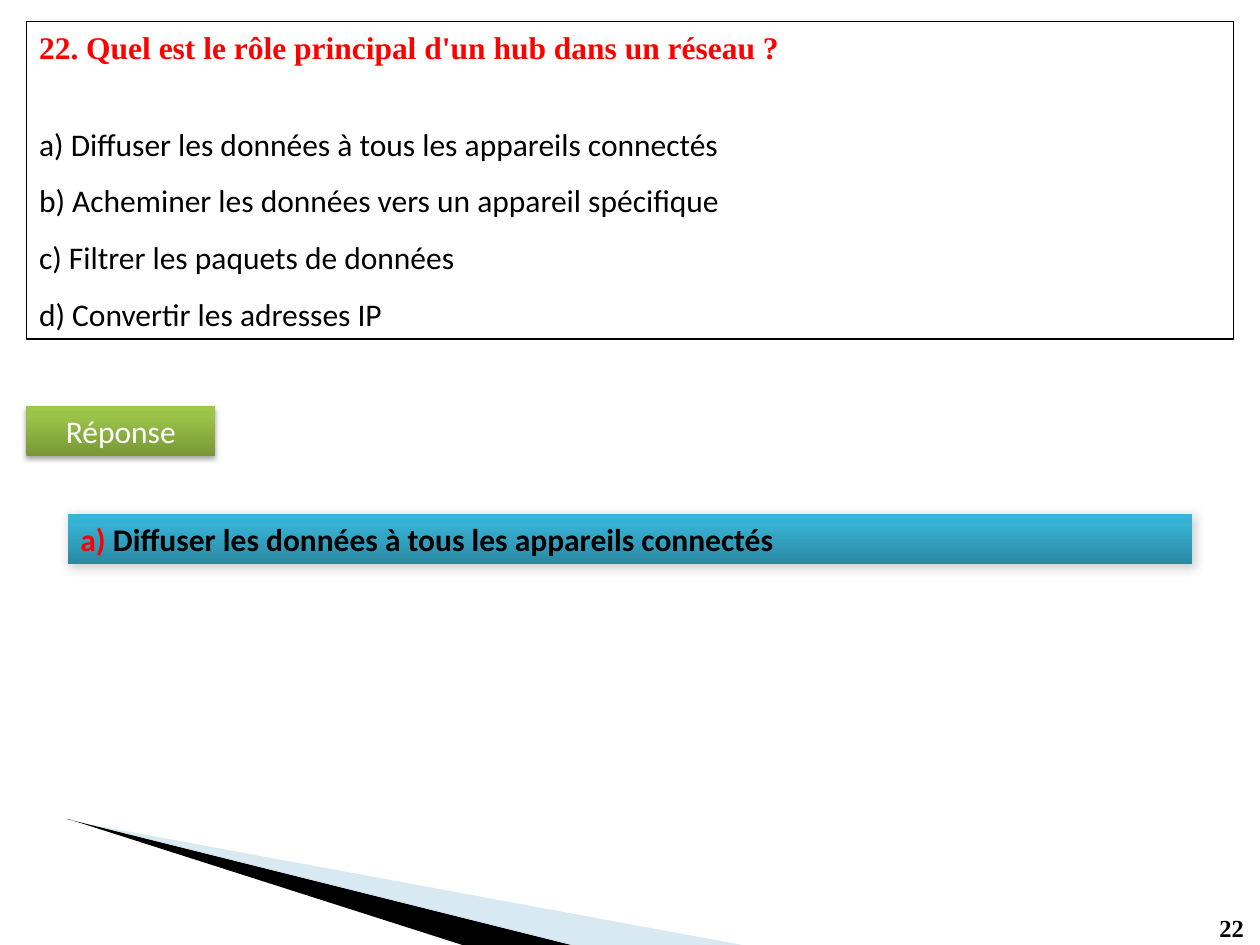
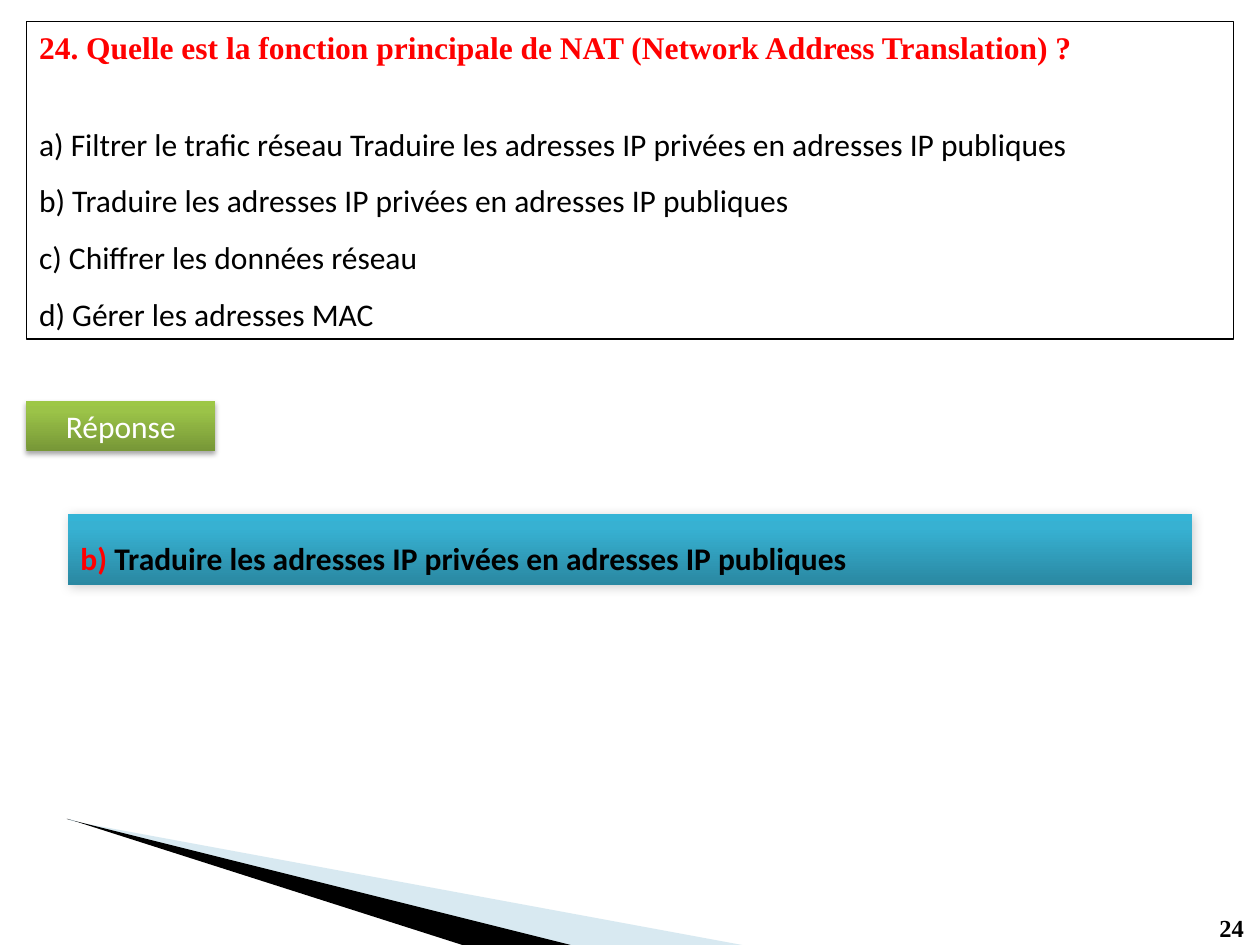
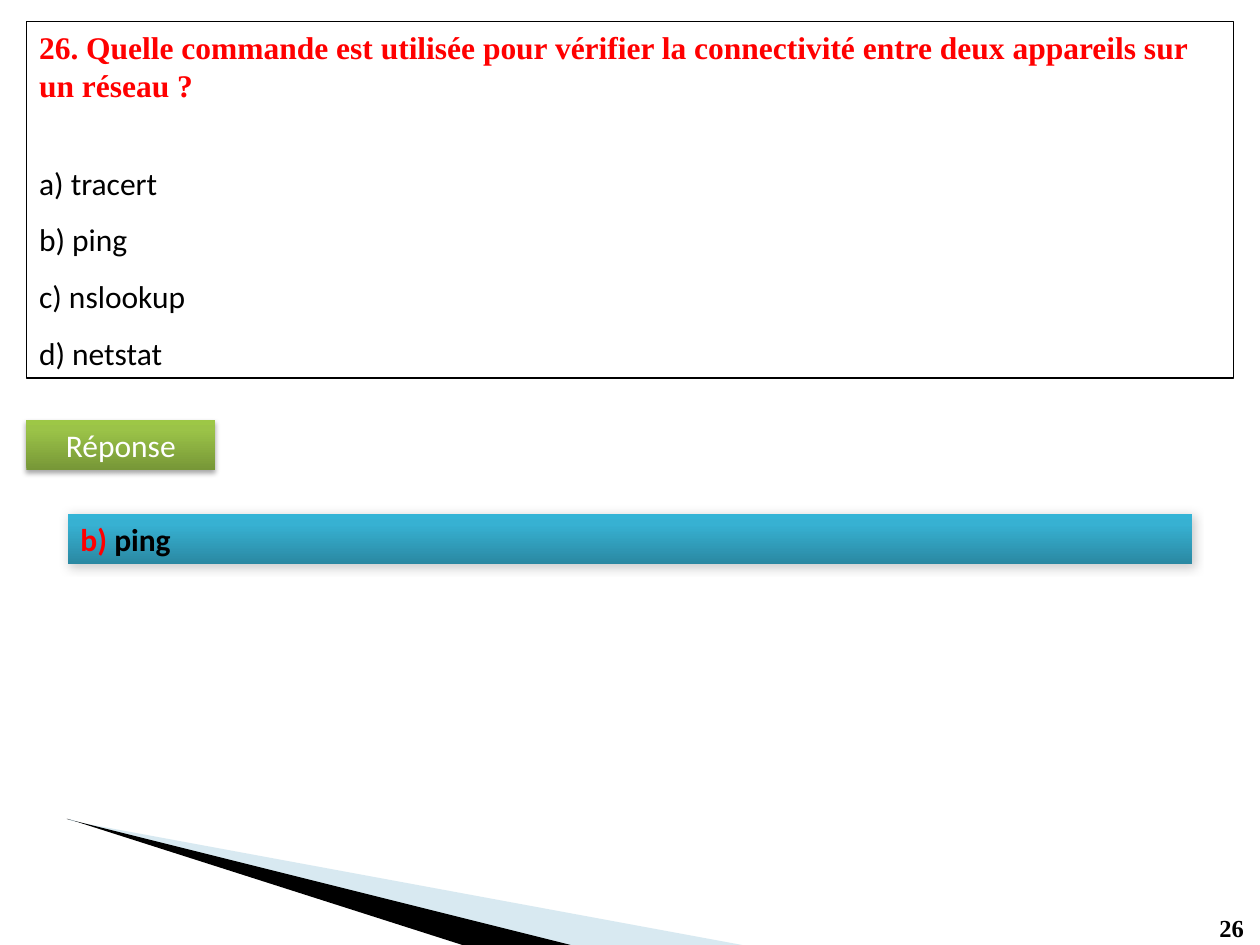
from lxml import etree
from pptx import Presentation
from pptx.dml.color import RGBColor
from pptx.enum import shapes, text
from pptx.oxml.ns import qn
from pptx.util import Inches, Pt

BLACK, RED, WHITE, PALE_BLUE = "000000", "FF0000", "FFFFFF", "9FCADC"
GREEN = [(0, "779737"), (80, "9BC348"), (100, "9DC746")]
BLUE = [(0, "2A88A2"), (80, "37B1D2"), (100, "34B4D6")]
SERIF, SANS = "Times New Roman", "Calibri"
OPTIONS_H = 2.12  # height kept for the options below the question

QUIZ = [
    dict(number="22", box=(0.21, 0.17, 9.58, 2.52), label_top=3.22,
         question="22. Quel est le rôle principal d'un hub dans un réseau ?",
         options=["a) Diffuser les données à tous les appareils connectés",
                  "b) Acheminer les données vers un appareil spécifique",
                  "c) Filtrer les paquets de données",
                  "d) Convertir les adresses IP"],
         answer=("a) ", "Diffuser les données à tous les appareils connectés"),
         answer_h=0.4, spacing=1.0),
    dict(number="24", box=(0.21, 0.17, 9.58, 2.52), label_top=3.18,
         question="24. Quelle est la fonction principale de NAT "
                  "(Network Address Translation) ?",
         options=["a) Filtrer le trafic réseau Traduire les adresses IP privées "
                  "en adresses IP publiques",
                  "b) Traduire les adresses IP privées en adresses IP publiques",
                  "c) Chiffrer les données réseau",
                  "d) Gérer les adresses MAC"],
         answer=("b) ", "Traduire les adresses IP privées en adresses IP publiques"),
         answer_h=0.56, spacing=1.5),
    dict(number="26", box=(0.21, 0.17, 9.58, 2.83), label_top=3.33,
         question="26. Quelle commande est utilisée pour vérifier la connectivité "
                  "entre deux appareils sur un réseau ?",
         options=["a) tracert", "b) ping", "c) nslookup", "d) netstat"],
         answer=("b) ", "ping"), answer_h=0.4, spacing=1.0),
]


def rgb(color):
    return RGBColor.from_string(color)


def place(sp, left, top, width, height):
    sp.left, sp.top = Inches(left), Inches(top)
    sp.width, sp.height = Inches(width), Inches(height)


def style(r, color, size=18, font=SANS, bold=False):
    r.font.name, r.font.size, r.font.bold = font, Pt(size), bold
    r.font.color.rgb = rgb(color)


def frame(sp, anchor):
    tf = sp.text_frame
    tf.word_wrap = True
    tf.auto_size = text.MSO_AUTO_SIZE.NONE
    tf.vertical_anchor = anchor
    return tf


def add_color(parent, color, alpha=100):
    clr = etree.SubElement(parent, qn("a:srgbClr"), val=color)
    if alpha < 100:
        etree.SubElement(clr, qn("a:alpha"), val=str(alpha * 1000))


# Shared decoration, kept on the layout
def add_wedge(s, layout, contours, color, alpha=100):
    points = [[(Inches(x), Inches(y)) for x, y in c] for c in contours]
    builder = s.shapes.build_freeform(*points[0][0])
    builder.add_line_segments(points[0][1:])
    for contour in points[1:]:
        builder.move_to(*contour[0])
        builder.add_line_segments(contour[1:])
    sp = builder.convert_to_shape()
    sp.shadow.inherit = False
    sp.line.fill.background()
    sp.fill.solid()
    sp.fill.fore_color.rgb = rgb(color)
    if alpha < 100:
        clr = sp.element.spPr.find(qn("a:solidFill"))[0]
        etree.SubElement(clr, qn("a:alpha"), val=str(alpha * 1000))
    layout.shapes.element.append(sp.element)


def decorate(s, layout):
    add_wedge(s, layout, [[(0.64, 6.53), (4.51, 7.5), (5.89, 7.5)],
                          [(0.55, 6.5), (0.55, 6.51), (0.64, 6.53)]], PALE_BLUE, 40)
    add_wedge(s, layout, [[(0.53, 6.5), (0.54, 6.5), (3.67, 7.5), (4.53, 7.5)]], BLACK)


# Gradient panel with a soft shadow
def add_panel(s, box, stops, alpha, blur, dist, angle):
    sp = s.shapes.add_shape(shapes.MSO_SHAPE.RECTANGLE, *map(Inches, box))
    sp.line.fill.background()
    sp.fill.gradient()
    sp.fill.gradient_angle = 90
    gs_list = sp.element.spPr.find(".//" + qn("a:gsLst"))
    for gs in list(gs_list):
        gs_list.remove(gs)
    for pos, color in stops:
        add_color(etree.SubElement(gs_list, qn("a:gs"), pos=str(pos * 1000)), color)
    sp.shadow.inherit = False
    shadow = etree.SubElement(
        sp.element.spPr.find(qn("a:effectLst")), qn("a:outerShdw"),
        blurRad=str(Pt(blur)), dist=str(Pt(dist)), dir=str(angle * 60000),
        rotWithShape="0")
    add_color(shadow, BLACK, alpha)
    return sp


# Question in the title, options in the outlined body
def add_question(s, box, question, options):
    left, top, width, height = box
    title, body = s.shapes.title, s.placeholders[1]
    place(title, left, top, width, height - OPTIONS_H)
    tf = frame(title, text.MSO_ANCHOR.TOP)
    tf.text = question
    p = tf.paragraphs[0]
    p.alignment = text.PP_ALIGN.LEFT
    style(p.runs[0], RED, font=SERIF, bold=True)

    place(body, *box)
    body.line.color.rgb = rgb(BLACK)
    body.line.width = Pt(0.75)
    tf = frame(body, text.MSO_ANCHOR.BOTTOM)
    tf.text = "\n".join(options)
    for p in tf.paragraphs:
        p.line_spacing, p.space_before = 1.5, Pt(0)
        pPr = p._p.get_or_add_pPr()
        pPr.set("marL", "0")
        pPr.set("indent", "0")
        etree.SubElement(pPr, qn("a:buNone"))
        style(p.runs[0], BLACK)


def add_label(s, box):
    sp = add_panel(s, box, GREEN, 35, 3.1, 1.8, 90)
    tf = frame(sp, text.MSO_ANCHOR.TOP)
    tf.text = "Réponse"
    p = tf.paragraphs[0]
    p.alignment = text.PP_ALIGN.CENTER
    style(p.runs[0], WHITE)


def add_answer(s, box, answer, spacing):
    sp = add_panel(s, box, BLUE, 20, 6, 1, 45)
    p = frame(sp, text.MSO_ANCHOR.TOP).paragraphs[0]
    p.alignment, p.line_spacing = text.PP_ALIGN.JUSTIFY, spacing
    for part, color in zip(answer, (RED, BLACK)):
        r = p.add_run()
        r.text = part
        style(r, color, bold=True)


def add_number(s, box, number):
    sp = s.shapes.add_textbox(*map(Inches, box))
    tf = frame(sp, text.MSO_ANCHOR.TOP)
    tf.text = number
    style(tf.paragraphs[0].runs[0], BLACK, 14, SERIF, True)


def add_quiz_slide(s, quiz):
    add_number(s, (9.58, 7.2, 0.4, 0.34), quiz["number"])
    add_question(s, quiz["box"], quiz["question"], quiz["options"])
    add_label(s, (0.21, quiz["label_top"], 1.5, 0.4))
    add_answer(s, (0.54, 4.08, 8.92, quiz["answer_h"]), quiz["answer"], quiz["spacing"])


def main():
    prs = Presentation()
    prs.slide_width, prs.slide_height = Inches(10), Inches(7.5)
    layout = prs.slide_layouts[1]
    for i, quiz in enumerate(QUIZ):
        s = prs.slides.add_slide(layout)
        if i == 0:
            decorate(s, layout)
        add_quiz_slide(s, quiz)
    prs.save("out.pptx")


if __name__ == "__main__":
    main()
